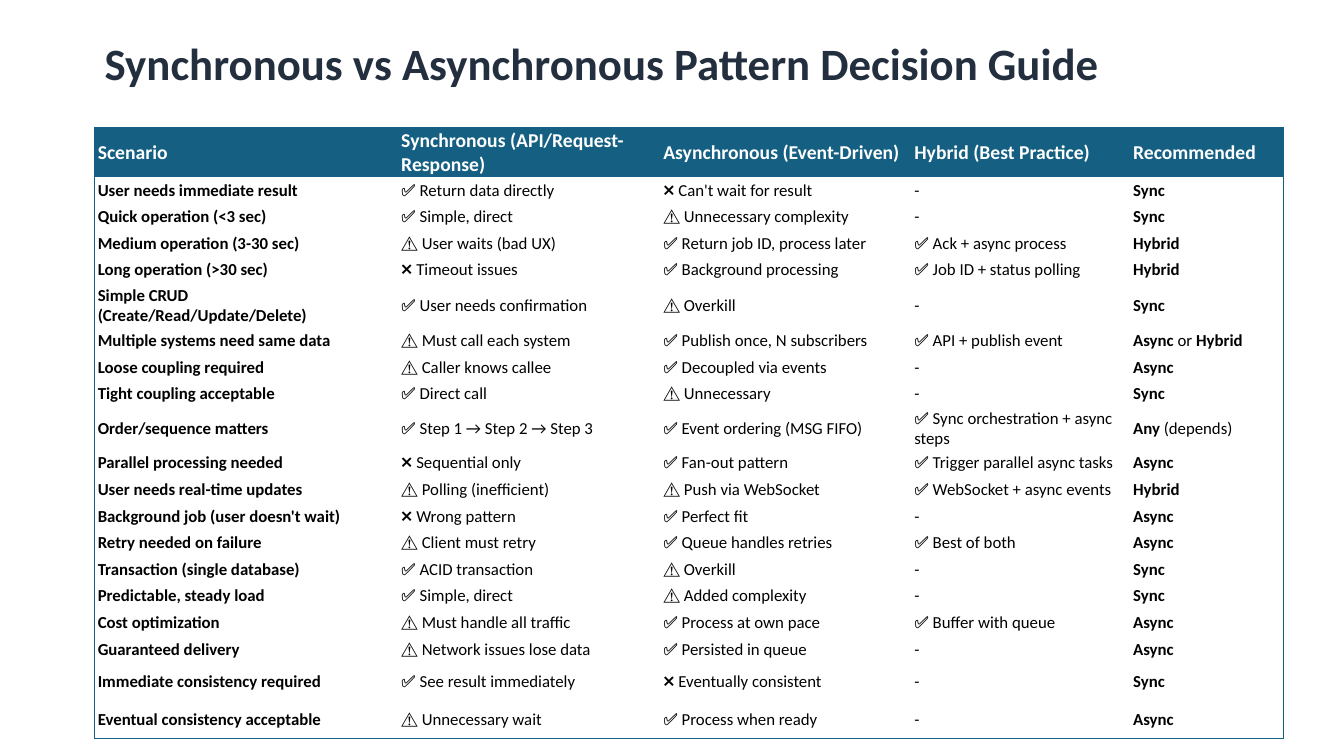
from lxml import etree
from pptx import Presentation
from pptx.dml.color import RGBColor
from pptx.enum.text import MSO_ANCHOR, MSO_AUTO_SIZE
from pptx.oxml.ns import qn
from pptx.util import Inches, Pt

MIDDLE = MSO_ANCHOR.MIDDLE
GROW = MSO_AUTO_SIZE.SHAPE_TO_FIT_TEXT
PLAIN_TABLE_STYLE = "{2D5ABB26-0587-4C30-8999-92F81FD0307C}"

# Lengths are percentages of the slide's width or height
LEFT = 7.05
COLUMN_WIDTHS = [22.58, 19.5, 18.68, 16.28, 11.4]
HEADER_HEIGHT, ROW_HEIGHT, TALL_ROW_HEIGHT = 6, 3.52, 5
ROW_HEIGHTS = {
    "Simple CRUD (Create/Read/Update/Delete)": 5.87,
    "Order/sequence matters": TALL_ROW_HEIGHT,
    "Immediate consistency required": TALL_ROW_HEIGHT,
    "Eventual consistency acceptable": TALL_ROW_HEIGHT,
}

HEADER = ["Scenario", "Synchronous (API/Request-Response)", "Asynchronous (Event-Driven)",
          "Hybrid (Best Practice)", "Recommended"]

# Text between double asterisks in the last column is bold
SCENARIOS = [
    ("User needs immediate result", "✅ Return data directly", "❌ Can't wait for result",
     "-", "**Sync**"),
    ("Quick operation (<3 sec)", "✅ Simple, direct", "⚠️ Unnecessary complexity",
     "-", "**Sync**"),
    ("Medium operation (3-30 sec)", "⚠️ User waits (bad UX)", "✅ Return job ID, process later",
     "✅ Ack + async process", "**Hybrid**"),
    ("Long operation (>30 sec)", "❌ Timeout issues", "✅ Background processing",
     "✅ Job ID + status polling", "**Hybrid**"),
    ("Simple CRUD (Create/Read/Update/Delete)", "✅ User needs confirmation", "⚠️ Overkill",
     "-", "**Sync**"),
    ("Multiple systems need same data", "⚠️ Must call each system",
     "✅ Publish once, N subscribers", "✅ API + publish event", "**Async** or **Hybrid**"),
    ("Loose coupling required", "⚠️ Caller knows callee", "✅ Decoupled via events",
     "-", "**Async**"),
    ("Tight coupling acceptable", "✅ Direct call", "⚠️ Unnecessary", "-", "**Sync**"),
    ("Order/sequence matters", "✅ Step 1 → Step 2 → Step 3", "✅ Event ordering (MSG FIFO)",
     "✅ Sync orchestration + async steps", "**Any** (depends)"),
    ("Parallel processing needed", "❌ Sequential only", "✅ Fan-out pattern",
     "✅ Trigger parallel async tasks", "**Async**"),
    ("User needs real-time updates", "⚠️ Polling (inefficient)", "⚠️ Push via WebSocket",
     "✅ WebSocket + async events", "**Hybrid**"),
    ("Background job (user doesn't wait)", "❌ Wrong pattern", "✅ Perfect fit",
     "-", "**Async**"),
    ("Retry needed on failure", "⚠️ Client must retry", "✅ Queue handles retries",
     "✅ Best of both", "**Async**"),
    ("Transaction (single database)", "✅ ACID transaction", "⚠️ Overkill", "-", "**Sync**"),
    ("Predictable, steady load", "✅ Simple, direct", "⚠️ Added complexity", "-", "**Sync**"),
    ("Cost optimization", "⚠️ Must handle all traffic", "✅ Process at own pace",
     "✅ Buffer with queue", "**Async**"),
    ("Guaranteed delivery", "⚠️ Network issues lose data", "✅ Persisted in queue",
     "-", "**Async**"),
    ("Immediate consistency required", "✅ See result immediately", "❌ Eventually consistent",
     "-", "**Sync**"),
    ("Eventual consistency acceptable", "⚠️ Unnecessary wait", "✅ Process when ready",
     "-", "**Async**"),
]


def rgb(color):
    return RGBColor.from_string(color)


class GuideSlide:
    FONT = "Calibri"
    TITLE, ACCENT, TEXT, PAPER = "232F3E", "156082", "000000", "FFFFFF"

    def __init__(self, prs):
        self.prs = prs
        self.slide = prs.slides.add_slide(prs.slide_layouts[6])

    def x(self, percent):
        return round(self.prs.slide_width * percent / 100)

    def y(self, percent):
        return round(self.prs.slide_height * percent / 100)

    def add_runs(self, p, text, size, color):
        for i, part in enumerate(text.split("**")):
            if not part:
                continue
            r = p.add_run()
            r.text = part
            r.font.name, r.font.size, r.font.bold = self.FONT, Pt(size), i % 2 == 1
            r.font.color.rgb = rgb(color)

    def title(self, text, left, top, width, height):
        s = self.slide.shapes.add_textbox(self.x(left), self.y(top), self.x(width), self.y(height))
        tf = s.text_frame
        tf.word_wrap = True
        tf.auto_size = GROW
        self.add_runs(tf.paragraphs[0], f"**{text}**", 32, self.TITLE)

    def border(self, cell, sides):
        tcPr = cell._tc.get_or_add_tcPr()
        for i, side in enumerate(sides):
            ln = etree.Element(qn(f"a:ln{side}"), w=str(Pt(1)))
            fill = etree.SubElement(ln, qn("a:solidFill"))
            etree.SubElement(fill, qn("a:srgbClr"), val=self.ACCENT)
            tcPr.insert(i, ln)

    def cell(self, cell, text, size, color, fill):
        cell.margin_left = cell.margin_right = Inches(0.03)
        cell.margin_top = cell.margin_bottom = Inches(0.01)
        cell.vertical_anchor = MIDDLE
        cell.fill.solid()
        cell.fill.fore_color.rgb = rgb(fill)
        self.add_runs(cell.text_frame.paragraphs[0], text, size, color)

    def table(self, left, top, widths, heights, rows):
        s = self.slide.shapes.add_table(len(rows), len(widths), self.x(left), self.y(top),
                                        self.x(sum(widths)), self.y(sum(heights)))
        table = s.table
        table.horz_banding = False
        for style in s._element.iter(qn("a:tableStyleId")):
            style.text = PLAIN_TABLE_STYLE
        for column, width in zip(table.columns, widths):
            column.width = self.x(width)
        for row, height in zip(table.rows, heights):
            row.height = self.y(height)

        last_row, last_col = len(rows) - 1, len(widths) - 1
        for i, row in enumerate(rows):
            for j, text in enumerate(row):
                cell = table.cell(i, j)
                if i == 0:
                    self.cell(cell, f"**{text}**", 14, self.PAPER, self.ACCENT)
                else:
                    shown = f"**{text}**" if j == 0 else text
                    self.cell(cell, shown, 12, self.TEXT, self.PAPER)
                # Outline around the whole table
                edges = {"L": j == 0, "R": j == last_col, "T": i == 0, "B": i == last_row}
                self.border(cell, [side for side, on in edges.items() if on])


def main():
    prs = Presentation()
    prs.slide_width, prs.slide_height = Inches(13.33), Inches(7.5)
    guide = GuideSlide(prs)

    # Title
    guide.title("Synchronous vs Asynchronous Pattern Decision Guide", LEFT, 4, 85.75, 8.53)

    # Decision table
    heights = [HEADER_HEIGHT] + [ROW_HEIGHTS.get(row[0], ROW_HEIGHT) for row in SCENARIOS]
    guide.table(LEFT, 16.93, COLUMN_WIDTHS, heights, [HEADER, *SCENARIOS])

    prs.save("out.pptx")


if __name__ == "__main__":
    main()
